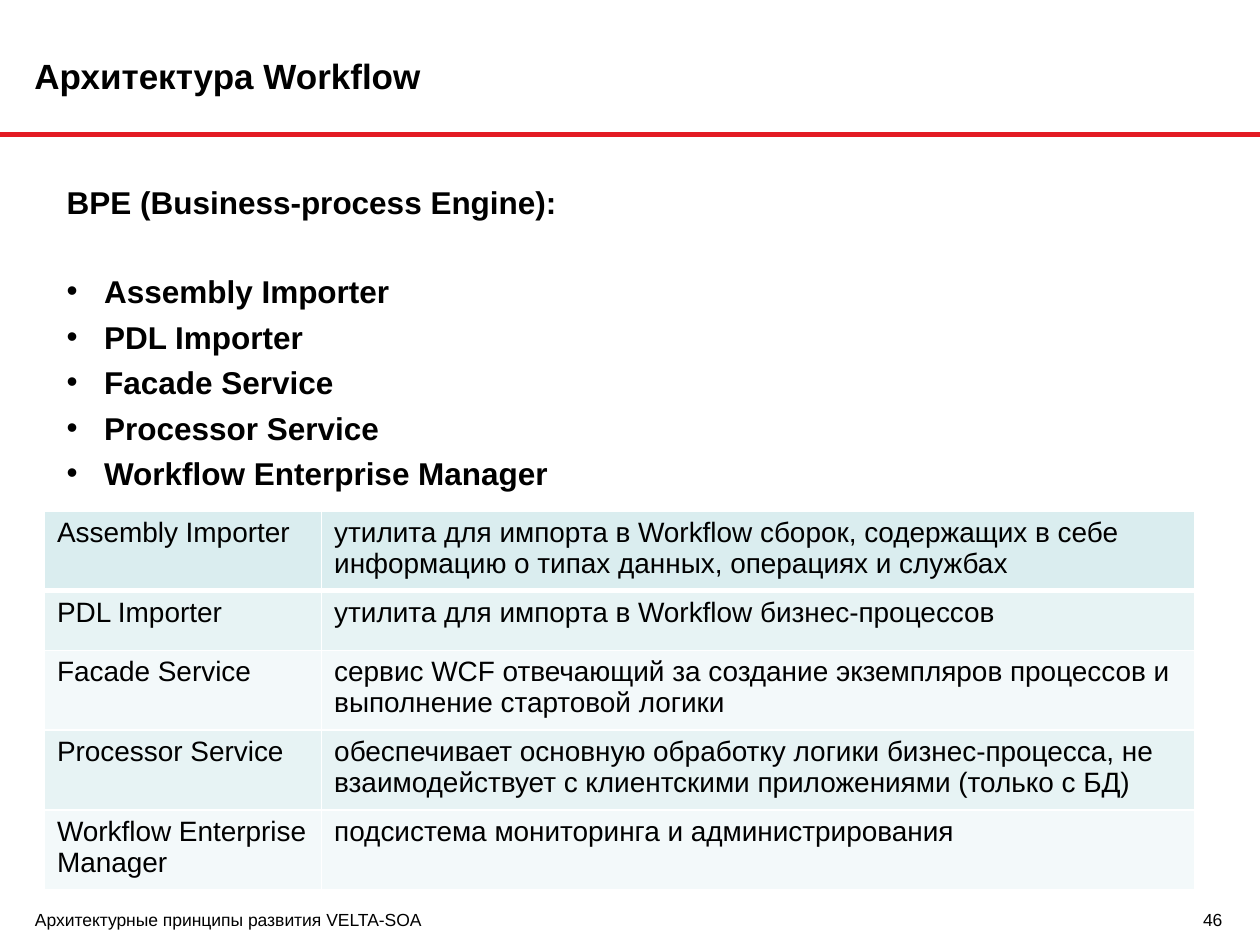
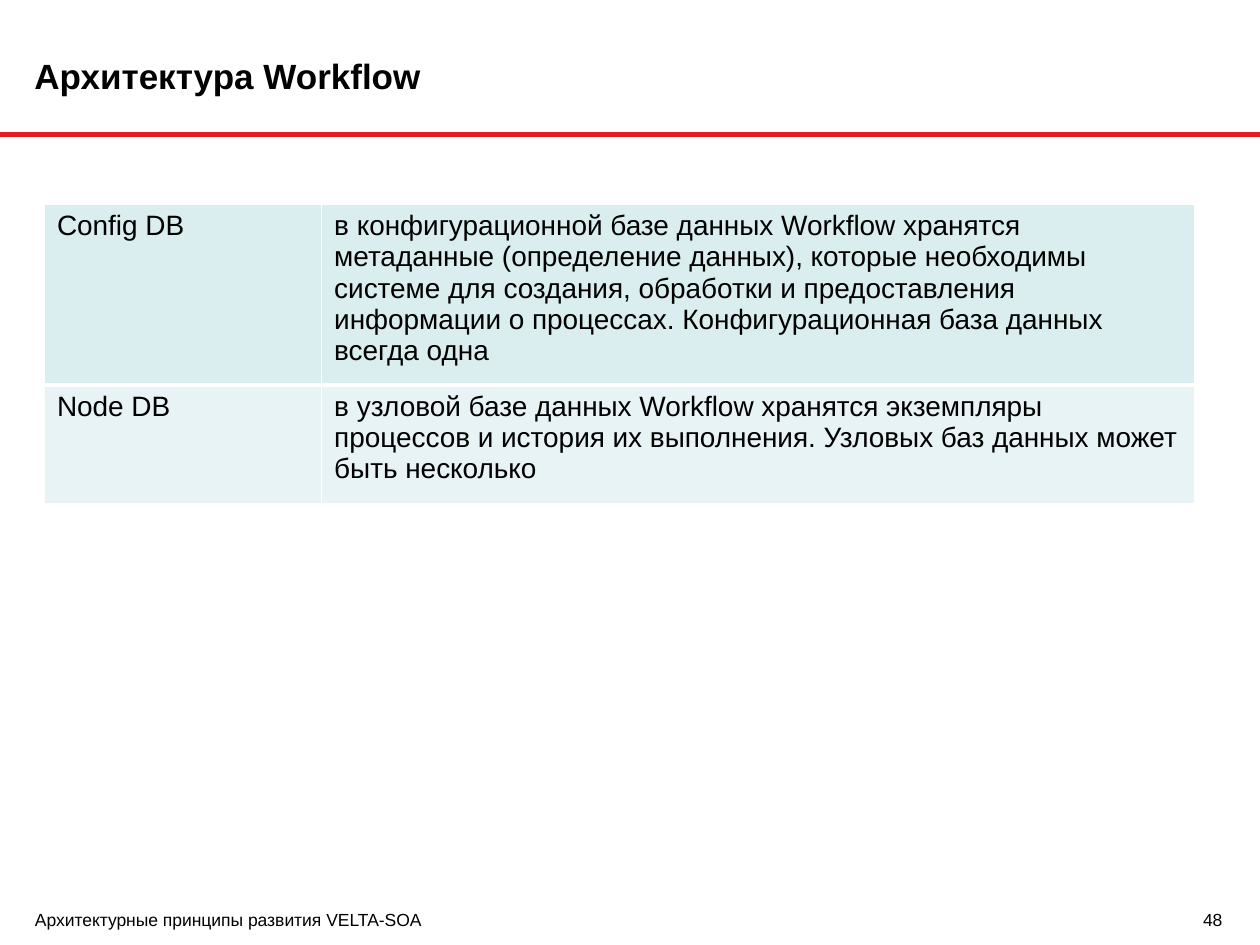
from lxml import etree
from pptx import Presentation
from pptx.dml.color import RGBColor as RGB
from pptx.enum.shapes import MSO_CONNECTOR as CONN
from pptx.enum.text import MSO_ANCHOR as ANCHOR, PP_ALIGN as ALIGN
from pptx.oxml.ns import qn
from pptx.util import Pt

COLORS = {
    "text": "000000",
    "rule": "E31B23",
    "border": "FFFFFF",
    "first": "DAEDEF",
    "odd": "E7F3F4",
    "even": "F3F9FA",
}
FONT = "Arial"
TITLE = "Архитектура Workflow"
FOOTER = "Архитектурные принципы развития VELTA-SOA"
COLUMNS = (158.4, 499)

COMPONENTS = [
    ("Assembly Importer", "утилита для импорта в Workflow сборок, содержащих в себе "
     "информацию о типах данных, операциях и службах"),
    ("PDL Importer", "утилита для импорта в Workflow бизнес-процессов"),
    ("Facade Service", "сервис WCF отвечающий за создание экземпляров процессов и "
     "выполнение стартовой логики"),
    ("Processor Service", "обеспечивает основную обработку логики бизнес-процесса, не "
     "взаимодействует с клиентскими приложениями (только с БД)"),
    ("Workflow Enterprise Manager", "подсистема мониторинга и администрирования"),
]
DATABASES = [
    ("Config DB", "в конфигурационной базе данных Workflow хранятся метаданные "
     "(определение данных), которые необходимы системе для создания, обработки и "
     "предоставления информации о процессах. Конфигурационная база данных всегда одна"),
    ("Node DB", "в узловой базе данных Workflow хранятся экземпляры процессов и история "
     "их выполнения. Узловых баз данных может быть несколько"),
]


def format_text(p, size, bold=False, align=ALIGN.LEFT):
    p.alignment = align
    for r in p.runs:
        r.font.name = FONT
        r.font.size = Pt(size)
        r.font.bold = bold
        r.font.color.rgb = RGB.from_string(COLORS["text"])


def fill_frame(tf, text, size, anchor, **style):
    tf.margin_left = tf.margin_right = tf.margin_top = tf.margin_bottom = 0
    tf.word_wrap = True
    tf.vertical_anchor = anchor
    tf.text = text
    format_text(tf.paragraphs[0], size, **style)


def add_label(s, text, left, width, align):
    sp = s.shapes.add_textbox(Pt(left), Pt(514), Pt(width), Pt(17.3))
    fill_frame(sp.text_frame, text, 10, ANCHOR.BOTTOM, align=align)


def add_rule(s):
    line = s.shapes.add_connector(CONN.STRAIGHT, 0, Pt(77), Pt(720), Pt(77))
    line.line.color.rgb = RGB.from_string(COLORS["rule"])
    line.line.width = Pt(3)
    etree.SubElement(line._element.spPr, qn("a:effectLst"))


def add_slide(prs, number):
    s = prs.slides.add_slide(prs.slide_layouts[5])
    add_rule(s)
    title = s.shapes.title
    title.left, title.top, title.width, title.height = map(Pt, (19.6, 9.4, 607, 67.6))
    fill_frame(title.text_frame, TITLE, 20, ANCHOR.MIDDLE, bold=True)
    add_label(s, FOOTER, 20, 640, ALIGN.LEFT)
    add_label(s, str(number), 667.5, 31, ALIGN.RIGHT)
    return s


def add_bullet(p, indent):
    pPr = p._p.get_or_add_pPr()
    pPr.set("marL", str(Pt(indent)))
    pPr.set("indent", str(-Pt(indent)))
    etree.SubElement(pPr, qn("a:buFont"), typeface=FONT)
    etree.SubElement(pPr, qn("a:buChar"), char="•")


def add_list(s, heading, items):
    sp = s.shapes.add_textbox(Pt(31), Pt(100.8), Pt(420), Pt(185.8))
    tf = sp.text_frame
    tf.word_wrap = True
    tf.text = "\n".join([heading, *items])
    for i, p in enumerate(tf.paragraphs):
        format_text(p, 18, bold=True)
        p.space_before = Pt(29.5 if i == 1 else 4.4)
        if i:
            add_bullet(p, 21.4)


def set_borders(cell, **widths):
    tcPr = cell._tc.get_or_add_tcPr()
    for i, side in enumerate("LRTB"):
        ln = etree.Element(qn(f"a:ln{side}"), w=str(Pt(widths.get(side, 1))))
        fill = etree.SubElement(ln, qn("a:solidFill"))
        etree.SubElement(fill, qn("a:srgbClr"), val=COLORS["border"])
        tcPr.insert(i, ln)


def add_glossary(s, rows, top, heights):
    frame = s.shapes.add_table(len(rows), len(COLUMNS), Pt(25.4), Pt(top),
                               Pt(sum(COLUMNS)), Pt(sum(heights)))
    table = frame.table
    table.first_row = table.horz_banding = False
    for column, width in zip(table.columns, COLUMNS):
        column.width = Pt(width)
    for i, (row, height) in enumerate(zip(rows, heights)):
        table.rows[i].height = Pt(height)
        band = "first" if i == 0 else "odd" if i % 2 else "even"
        for j, text in enumerate(row):
            cell = table.cell(i, j)
            cell.text = text
            p = cell.text_frame.paragraphs[0]
            format_text(p, 16)
            p.space_before = Pt(3.2)
            cell.fill.solid()
            cell.fill.fore_color.rgb = RGB.from_string(COLORS[band])
            set_borders(cell, T=3 if i == 1 else 1, B=3 if i == 0 else 1)


def main():
    prs = Presentation()
    prs.slide_width, prs.slide_height = Pt(720), Pt(540)

    s = add_slide(prs, 46)
    add_list(s, "BPE (Business-process Engine):", [name for name, _ in COMPONENTS])
    add_glossary(s, COMPONENTS, 292, (45, 34, 45.5, 45.5, 45.5))

    s = add_slide(prs, 48)
    add_glossary(s, DATABASES, 116.8, (95.7, 67.7))

    prs.save("out.pptx")


if __name__ == "__main__":
    main()
